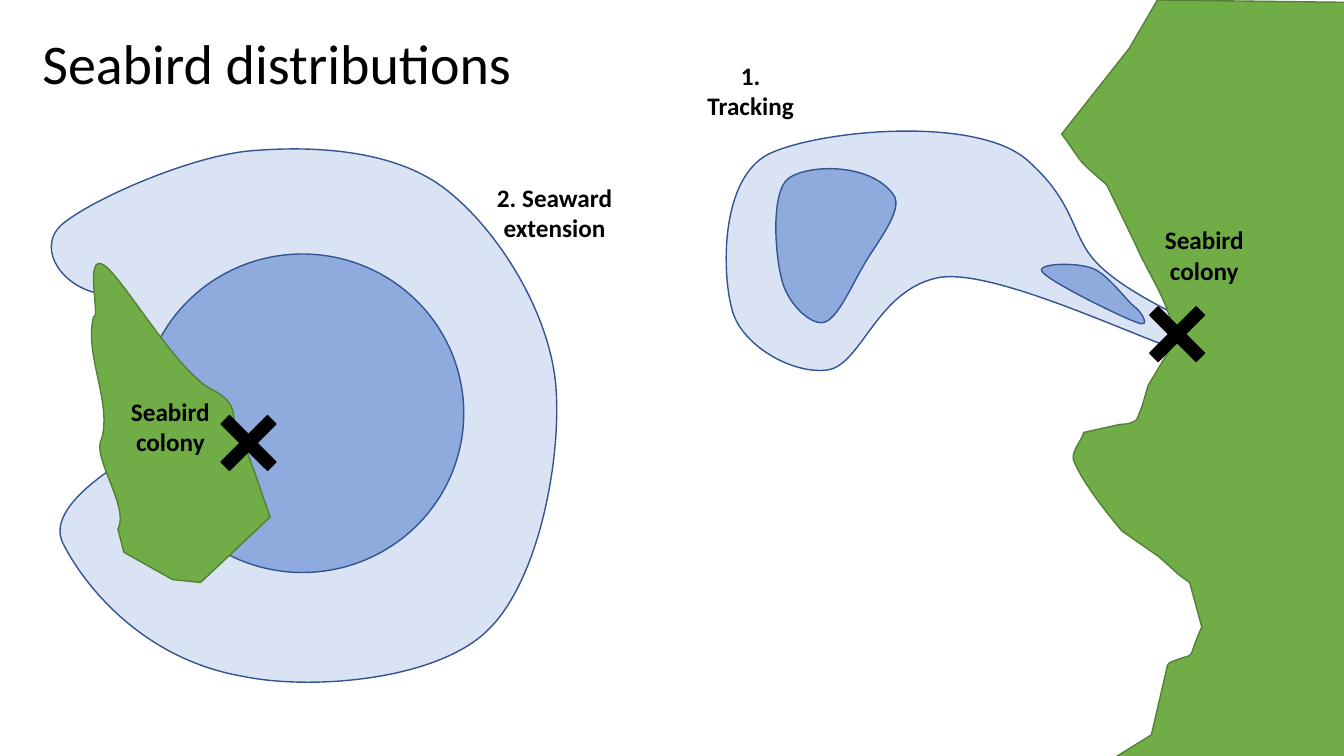
"""Draw the seabird distribution slide: two colonies, their ranges and the land."""
from dataclasses import dataclass

from lxml import etree
from pptx import Presentation
from pptx.dml.color import RGBColor
from pptx.enum.shapes import MSO_SHAPE
from pptx.enum.text import MSO_ANCHOR, MSO_AUTO_SIZE, PP_ALIGN
from pptx.oxml.ns import qn
from pptx.shapes.autoshape import Shape
from pptx.slide import Slide
from pptx.util import Pt

PX = 9144
STEPS = 16
FONT = "Calibri"
OVAL, PLUS = MSO_SHAPE.OVAL, MSO_SHAPE.CROSS
LEFT, CENTER = PP_ALIGN.LEFT, PP_ALIGN.CENTER
TOP, FIT = MSO_ANCHOR.TOP, MSO_AUTO_SIZE.SHAPE_TO_FIT_TEXT

BLACK = RGBColor(0x00, 0x00, 0x00)
PALE = RGBColor(0xDA, 0xE3, 0xF3)
BLUE = RGBColor(0x8F, 0xAA, 0xDC)
NAVY = RGBColor(0x32, 0x54, 0x91)
GREEN = RGBColor(0x70, 0xAD, 0x47)
MOSS = RGBColor(0x53, 0x80, 0x35)

Point = tuple[int, int]
Box = tuple[int, int, int, int]


@dataclass
class Area:
    """A closed outline whose steps hold two numbers for a line, six for a curve."""
    start: Point
    steps: tuple[tuple[int, ...], ...]
    fill: RGBColor
    line: RGBColor


@dataclass
class Label:
    """A bold caption and its box."""
    text: str
    box: Box


RANGES = (
    Area((1199, 357), (
        (1154, 349, 986, 262, 928, 276), (869, 290, 854, 362, 821, 367),
        (787, 372, 735, 343, 726, 307), (716, 271, 714, 178, 762, 153),
        (811, 129, 968, 114, 1019, 159), (1070, 204, 1061, 236, 1091, 264),
        (1121, 293, 1183, 320, 1201, 328), (1219, 336, 1245, 366, 1199, 357),
    ), PALE, NAVY),
    Area((886, 193), (
        (898, 208, 866, 245, 855, 266), (843, 287, 829, 319, 816, 320),
        (803, 322, 780, 300, 775, 276), (769, 253, 764, 191, 782, 177),
        (801, 163, 863, 161, 886, 193),
    ), BLUE, NAVY),
    Area((1128, 320), (
        (1113, 315, 1042, 280, 1034, 270), (1026, 261, 1067, 260, 1083, 266),
        (1098, 271, 1118, 299, 1125, 304), (1131, 308, 1143, 326, 1128, 320),
    ), BLUE, NAVY),
    Area((60, 224), (
        (85, 201, 182, 157, 245, 150), (309, 144, 390, 148, 441, 187),
        (491, 225, 543, 305, 551, 379), (558, 452, 535, 577, 483, 626),
        (432, 675, 309, 685, 241, 671), (137, 653, 80, 575, 62, 538),
        (45, 501, 121, 459, 135, 449), (148, 439, 146, 515, 142, 478),
        (98, 291), (63, 285, 36, 248, 60, 224),
    ), PALE, NAVY),
)
LANDS = (
    Area((117, 525), (
        (129, 503, 90, 453, 101, 435), (111, 398, 83, 351, 93, 314),
        (100, 317, 83, 250, 103, 263), (122, 275, 175, 369, 211, 387),
        (239, 401, 228, 416, 235, 421), (252, 467), (268, 513),
        (199, 578), (171, 575), (123, 548),
    ), GREEN, MOSS),
    Area((1148, 0), (
        (1120, 48), (1053, 133), (1060, 142, 1066, 152, 1073, 161),
        (1080, 168, 1087, 174, 1095, 181), (1096, 182, 1097, 183, 1098, 184),
        (1126, 242), (1139, 272, 1159, 299, 1164, 330),
        (1165, 332, 1165, 334, 1165, 336), (1165, 338, 1164, 340, 1163, 342),
        (1139, 382), (1136, 391, 1134, 401, 1130, 410),
        (1129, 413, 1128, 417, 1125, 418), (1121, 421, 1111, 421, 1111, 421),
        (1075, 429), (1072, 439, 1062, 448, 1065, 457),
        (1075, 483, 1113, 527, 1113, 527), (1149, 552),
        (1173, 573, 1162, 565, 1180, 578), (1192, 622),
        (1175, 660, 1190, 645, 1161, 657), (1160, 657, 1159, 659, 1158, 660),
        (1142, 729), (1105, 752), (1107, 768), (1378, 762), (1390, 3),
    ), GREEN, MOSS),
)
CORE: Box = (140, 252, 320, 316)
NESTS: tuple[Box, ...] = ((1135, 299, 65, 65), (214, 407, 65, 65))
TITLE = Label("Seabird distributions", (32, 23, 570, 77))
LABELS = (
    Label("Seabird colony", (1143, 218, 103, 71)),
    Label("1. Tracking", (684, 55, 121, 71)),
    Label("2. Seaward extension", (479, 176, 142, 71)),
    Label("Seabird colony", (113, 388, 112, 71)),
)


def scale(box: Box) -> list[int]:
    """Turn a box in px into EMU."""
    return [n * PX for n in box]


def pairs(step: tuple[int, ...]) -> list[Point]:
    """Split a step into its points."""
    return list(zip(step[::2], step[1::2]))


def trace(area: Area) -> list[Point]:
    """Return points along the outline, from which its bounds follow."""
    spots, last = [], area.start
    for step in area.steps:
        knots = [last, *pairs(step)]
        last = knots[-1]
        if len(knots) == 2:
            spots.append(last)
            continue
        for i in range(1, STEPS + 1):
            t = i / STEPS
            parts = ((1 - t) ** 3, 3 * t * (1 - t) ** 2, 3 * t * t * (1 - t), t ** 3)
            spots.append(tuple(
                round(sum(w * k[axis] for w, k in zip(parts, knots))) for axis in (0, 1)))
    return spots


def paint(shape: Shape, fill: RGBColor, line: RGBColor) -> None:
    """Give a shape its fill and line and no shadow."""
    shape.shadow.inherit = False
    shape.fill.solid()
    shape.fill.fore_color.rgb = fill
    shape.line.color.rgb = line
    shape.line.width = Pt(1)


def draw_area(slide: Slide, area: Area) -> None:
    """Draw an outline with true curves."""
    spots = trace(area)
    maker = slide.shapes.build_freeform(*area.start, scale=PX)
    maker.add_line_segments(spots, close=True)
    shape = maker.convert_to_shape()
    paint(shape, area.fill, area.line)
    left, top = (min(axis) for axis in zip(area.start, *spots))
    route = shape._element.find(".//" + qn("a:path"))
    for node in list(route):
        route.remove(node)
    for i, step in enumerate((area.start, *area.steps)):
        tag = "a:moveTo" if i == 0 else "a:lnTo" if len(step) == 2 else "a:cubicBezTo"
        node = etree.SubElement(route, qn(tag))
        for x, y in pairs(step):
            etree.SubElement(node, qn("a:pt"), x=str(x - left), y=str(y - top))
    etree.SubElement(route, qn("a:close"))


def draw_nest(slide: Slide, box: Box) -> None:
    """Mark a colony with a black cross."""
    cross = slide.shapes.add_shape(PLUS, *scale(box))
    cross.adjustments[0] = 0.41
    cross.rotation = 45
    paint(cross, BLACK, BLACK)


def write(shape: Shape, text: str, size: int, bold: bool, align: PP_ALIGN) -> None:
    """Set the text of a shape and its format."""
    frame = shape.text_frame
    frame.text = text
    frame.word_wrap = True
    frame.auto_size = FIT
    frame.vertical_anchor = TOP
    para = frame.paragraphs[0]
    para.alignment = align
    para.font.name = FONT
    para.font.size = Pt(size)
    para.font.bold = bold
    para.font.color.rgb = BLACK


def main() -> None:
    """Build and save the slide."""
    deck = Presentation()
    deck.slide_width, deck.slide_height = 1333 * PX, 750 * PX
    slide = deck.slides.add_slide(deck.slide_layouts[5])
    title = slide.shapes.title
    title.left, title.top, title.width, title.height = scale(TITLE.box)
    write(title, TITLE.text, 40, False, LEFT)
    for area in RANGES:
        draw_area(slide, area)
    paint(slide.shapes.add_shape(OVAL, *scale(CORE)), BLUE, NAVY)
    for area in LANDS:
        draw_area(slide, area)
    for box in NESTS:
        draw_nest(slide, box)
    for label in LABELS:
        write(slide.shapes.add_textbox(*scale(label.box)), label.text, 18, True, CENTER)
    deck.save("out.pptx")


if __name__ == "__main__":
    main()
